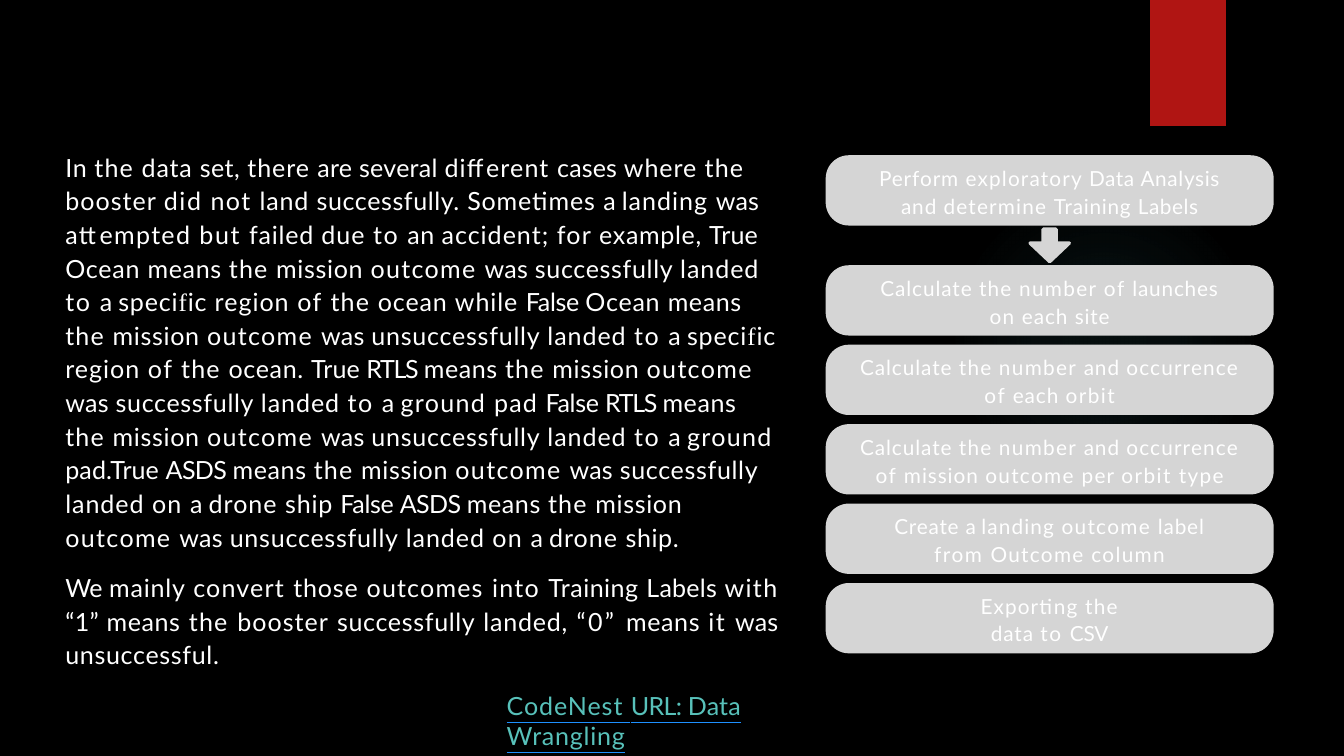
from pptx import Presentation
from pptx.dml.color import RGBColor
from pptx.enum.shapes import MSO_SHAPE
from pptx.enum.text import MSO_ANCHOR, PP_ALIGN
from pptx.oxml import parse_xml
from pptx.oxml.ns import nsdecls
from pptx.util import Inches, Pt

COLORS = {
    "background": "000000",
    "glow": "50B9C1",
    "ribbon": "B01513",
    "step": "D5D5D5",
    "text": "FFFFFF",
    "link": "58C1BA",
    "underline": "1E90FF",
}

WORDS_BY_SPACING = {
    -1.6: "RTLS",
    -0.8: "ASDS",
    -0.6: "We",
    -0.4: "a False",
    0.1: "True pad.True",
    0.3: "are several was Labels “1”",
    0.2: "cases",
    0.5: "an",
    0.6: "set, Training",
    0.7: "In successfully. means ship.",
    0.8: "example, mission successfully ocean. unsuccessful.",
    0.9: "data failed Ocean unsuccessfully ship landed,",
    1.0: "land Sometimes specific ocean mainly those launches site label",
    1.1: "there where landed while Calculate and each Perform",
    1.2: "booster landing due accident; region drone",
    1.3: "different pad Exporting",
    1.4: "the for on convert outcomes occurrence per exploratory determine",
    1.5: "into",
    1.6: "attempted outcome ground with it number type Outcome column",
    1.7: "not orbit",
    1.8: "did of from",
    1.9: "but to",
    2.8: "“0”",
}
BODY_SPACING = {word: spacing for spacing, words in WORDS_BY_SPACING.items()
                for word in words.split()}
STEP_SPACING = BODY_SPACING | {
    "Data": 0.6, "Analysis": 0.8, "Training": 0.9, "Labels": 0.7, "mission": 1.1,
    "Create": 0.9, "a": 0.1, "landing": 1.3, "data": 1.1, "CSV": -0.1,
}
LINK_SPACING = {"CodeNest": 1.1, "URL:": -0.8, "Data": 0.2, "Wrangling": 0.9}

OUTCOMES = (
    "In the data set, there are several different cases where the booster did not land "
    "successfully. Sometimes a landing was attempted but failed due to an accident; for "
    "example, True Ocean means the mission outcome was successfully landed to a specific "
    "region of the ocean while False Ocean means the mission outcome was unsuccessfully "
    "landed to a specific region of the ocean. True RTLS means the mission outcome was "
    "successfully landed to a ground pad False RTLS means the mission outcome was "
    "unsuccessfully landed to a ground pad.True ASDS means the mission outcome was "
    "successfully landed on a drone ship False ASDS means the mission outcome was "
    "unsuccessfully landed on a drone ship."
)
LABELS = (
    "We mainly convert those outcomes into Training Labels with “1” means the booster "
    "successfully landed, “0” means it was unsuccessful."
)
LINK = "CodeNest URL: Data Wrangling"
STEPS = [
    "Perform exploratory Data Analysis\nand determine Training Labels",
    "Calculate the number of launches\non each site",
    "Calculate the number and occurrence\nof each orbit",
    "Calculate the number and occurrence\nof mission outcome per orbit type",
    "Create a landing outcome label\nfrom Outcome column",
    "Exporting the\ndata to CSV",
]


def rgb(name):
    """Return the named colour."""
    return RGBColor.from_string(COLORS[name])


def write(paragraph, text, size=29.5, color="text", spacing=BODY_SPACING, underline=None,
          align=PP_ALIGN.LEFT, line_spacing=1.12, before=0, indent=0):
    """Write text word by word, each with its letter spacing."""
    paragraph.alignment = align
    paragraph.line_spacing = line_spacing
    paragraph.space_before = Pt(before)
    paragraph._p.get_or_add_pPr().set("marL", str(Inches(indent)))
    for row, line in enumerate(text.split("\n")):
        if row:
            paragraph.add_line_break()
        words = line.split(" ")
        for position, word in enumerate(words, 1):
            pieces = ["speci", "f", "ic"] if word == "specific" else [word]
            if position < len(words):
                pieces[-1] += " "
            for piece in pieces:
                run = paragraph.add_run()
                run.text = piece
                run.font.size = Pt(size)
                run.font.name = "Times New Roman" if piece == "f" else "Lato"
                run.font.color.rgb = rgb(color)
                properties = run._r.get_or_add_rPr()
                properties.set("spc", str(round(spacing[word] * 100)))
                if underline:
                    run.font.underline = True
                    properties.find("{*}latin").addprevious(parse_xml(
                        f'<a:uFill {nsdecls("a")}><a:solidFill><a:srgbClr '
                        f'val="{COLORS[underline]}"/></a:solidFill></a:uFill>'))


def add_block(slide, kind, left, top, width, height, color):
    """Add a plain filled shape."""
    block = slide.shapes.add_shape(
        kind, Inches(left), Inches(top), Inches(width), Inches(height))
    block.shadow.inherit = False
    block.fill.solid()
    block.fill.fore_color.rgb = rgb(color)
    block.line.fill.background()
    return block


def add_backdrop(slide):
    """Add the black background, the faint glow and the red ribbon."""
    slide.background.fill.solid()
    slide.background.fill.fore_color.rgb = rgb("background")
    glow = add_block(slide, MSO_SHAPE.OVAL, 15.52, 3.02, 5.08, 5.08, "glow")
    stops = "".join(
        f'<a:gs pos="{position * 1000}"><a:srgbClr val="{COLORS["glow"]}">'
        f'<a:alpha val="{alpha * 1000}"/></a:srgbClr></a:gs>'
        for position, alpha in [(0, 7), (36, 6), (69, 0), (100, 0)])
    solid = glow._element.spPr.find("{*}solidFill")
    solid.getparent().replace(solid, parse_xml(
        f'<a:gradFill {nsdecls("a")}><a:gsLst>{stops}</a:gsLst><a:path path="circle">'
        '<a:fillToRect l="50000" t="50000" r="50000" b="50000"/></a:path></a:gradFill>'))
    add_block(slide, MSO_SHAPE.RECTANGLE, 18.82, 0, 1.24, 2.06, "ribbon")


def clear_margins(frame):
    """Wrap the text and remove its insets."""
    frame.word_wrap = True
    frame.margin_left = frame.margin_right = frame.margin_top = frame.margin_bottom = 0


def add_explanation(slide, left, top, width, height):
    """Add the explanation of the outcomes and the link below it."""
    explanation = slide.shapes.add_textbox(
        Inches(left), Inches(top), Inches(width), Inches(height)).text_frame
    clear_margins(explanation)
    write(explanation.paragraphs[0], OUTCOMES)
    write(explanation.add_paragraph(), LABELS, align=PP_ALIGN.JUSTIFY, before=19.8)
    write(explanation.add_paragraph(), LINK, color="link", spacing=LINK_SPACING,
          underline="underline", line_spacing=1, before=24.4, indent=7.22)


def add_process(slide, left, top, width, step_height=1.15, pitch=1.3, arrow_gap=0.5):
    """Add the column of steps with an arrow after the first one."""
    for index, label in enumerate(STEPS):
        step_top = top + index * pitch + (arrow_gap if index else 0)
        step = add_block(slide, MSO_SHAPE.ROUNDED_RECTANGLE,
                         left, step_top, width, step_height, "step")
        step.adjustments[0] = 0.33
        clear_margins(step.text_frame)
        step.text_frame.vertical_anchor = MSO_ANCHOR.MIDDLE
        write(step.text_frame.paragraphs[0], label, size=24.5, spacing=STEP_SPACING,
              align=PP_ALIGN.CENTER)
    arrow_width = 0.64
    arrow = add_block(slide, MSO_SHAPE.DOWN_ARROW, left + (width - arrow_width) / 2,
                      top + step_height + 0.06, arrow_width, 0.53, "step")
    arrow.adjustments[0] = 0.33
    arrow.adjustments[1] = 0.57
    arrow.line.color.rgb = rgb("step")
    arrow.line.width = Pt(4.12)


def main():
    """Build the data wrangling slide."""
    presentation = Presentation()
    presentation.slide_width = Inches(21.99)
    presentation.slide_height = Inches(12.37)
    slide = presentation.slides.add_slide(presentation.slide_layouts[6])
    add_backdrop(slide)
    add_explanation(slide, 1.07, 2.43, 11.67, 9.38)
    add_process(slide, 13.51, 2.54, 7.33)
    presentation.save("out.pptx")


if __name__ == "__main__":
    main()
